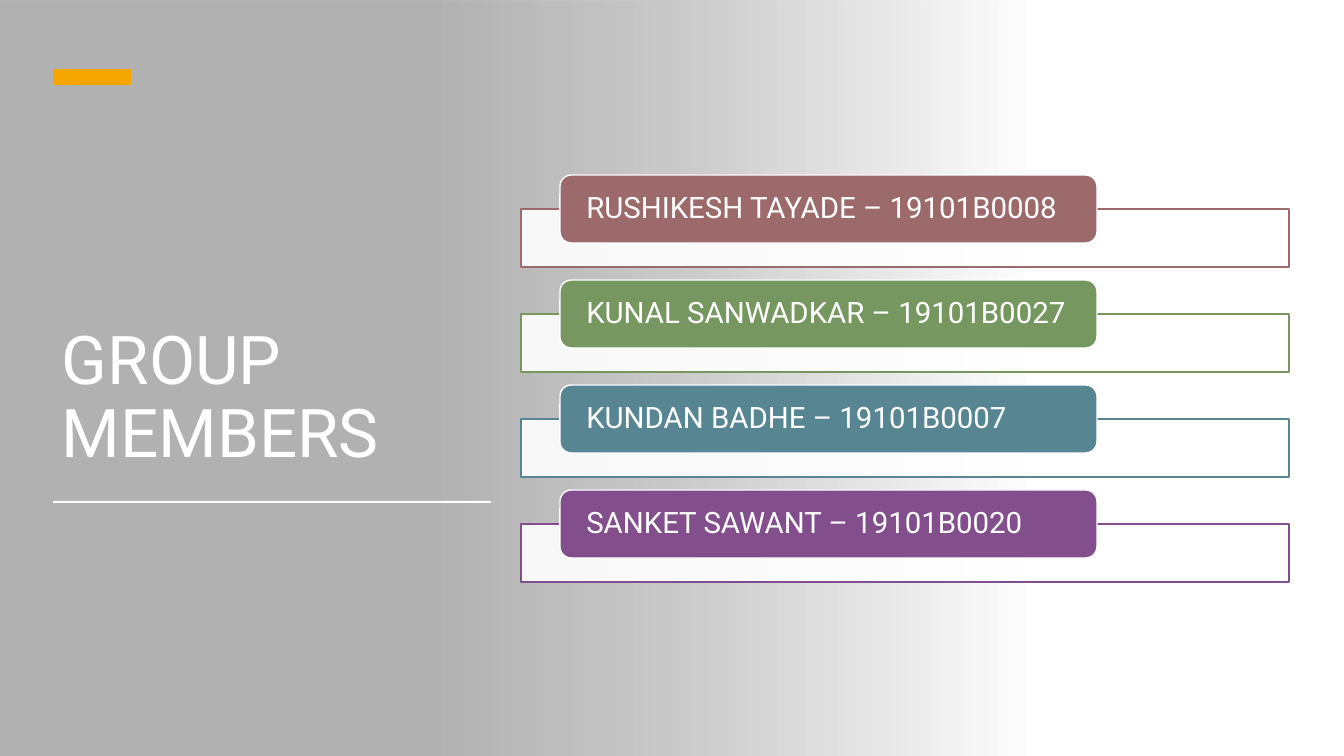
from lxml import etree
from pptx import Presentation
from pptx.dml.color import RGBColor
from pptx.enum.shapes import MSO_SHAPE
from pptx.enum.text import MSO_ANCHOR, PP_ALIGN
from pptx.oxml import parse_xml
from pptx.oxml.ns import qn
from pptx.util import Pt

PX = 914400 / 100.8
RECTANGLE = MSO_SHAPE.RECTANGLE
ROUNDED = MSO_SHAPE.ROUNDED_RECTANGLE
WHITE = RGBColor(0xFF, 0xFF, 0xFF)
ORANGE = RGBColor(0xF5, 0xA7, 0x00)
RED = RGBColor(0x9C, 0x6A, 0x6A)
GREEN = RGBColor(0x76, 0x98, 0x60)
TEAL = RGBColor(0x57, 0x85, 0x92)
PURPLE = RGBColor(0x82, 0x4F, 0x8C)

MEMBERS = [
    ("RUSHIKESH TAYADE – 19101B0008", RED),
    ("KUNAL SANWADKAR – 19101B0027", GREEN),
    ("KUNDAN BADHE – 19101B0007", TEAL),
    ("SANKET SAWANT – 19101B0020", PURPLE),
]
FIRST_TOP, ROW_PITCH = 175, 105
# Position and opacity of each black stop, in percent
SHADE_STOPS = [(0, 0), (33, 20), (58, 30), (100, 30)]


def add_block(kind, left, top, width, height, fill, line=None):
    box = [round(value * PX) for value in (left, top, width, height)]
    shape = slide.shapes.add_shape(kind, *box)
    shape.shadow.inherit = False
    shape.fill.solid()
    shape.fill.fore_color.rgb = fill
    if line is None:
        shape.line.fill.background()
    else:
        shape.line.color.rgb = line
        shape.line.width = Pt(1)
    return shape


def write_text(shape, text, size, anchor):
    frame = shape.text_frame
    frame.word_wrap = True
    frame.vertical_anchor = anchor
    frame.text = text
    paragraph = frame.paragraphs[0]
    paragraph.alignment = PP_ALIGN.LEFT
    paragraph.line_spacing = 0.9
    font = paragraph.runs[0].font
    font.name = "Roboto"
    font.size = Pt(size)
    font.color.rgb = WHITE


presentation = Presentation()
presentation.slide_width = round(1344 * PX)
presentation.slide_height = round(756 * PX)
slide = presentation.slides.add_slide(presentation.slide_layouts[6])

# Grey shade fading out to the right
shade = add_block(RECTANGLE, 0, 0, 1029, 756, WHITE)
stops = "".join(
    f'<a:gs pos="{position * 1000}"><a:srgbClr val="000000">'
    f'<a:alpha val="{opacity * 1000}"/></a:srgbClr></a:gs>'
    for position, opacity in SHADE_STOPS
)
gradient = parse_xml(
    '<a:gradFill xmlns:a="http://schemas.openxmlformats.org/drawingml/2006/main">'
    f'<a:gsLst>{stops}</a:gsLst><a:lin ang="10800000" scaled="0"/></a:gradFill>'
)
shade_properties = shade.element.spPr
shade_properties.replace(shade_properties.find(qn("a:solidFill")), gradient)

# Title with its accent bar and rule
title = slide.shapes.add_textbox(*[round(value * PX) for value in (52, 124, 444, 353)])
write_text(title, "GROUP MEMBERS", 48, MSO_ANCHOR.BOTTOM)
add_block(RECTANGLE, 53, 69, 78, 16, ORANGE)
add_block(RECTANGLE, 53, 501, 438, 2, WHITE)

# One frame and one name label per member
for row, (member, color) in enumerate(MEMBERS):
    top = FIRST_TOP + row * ROW_PITCH
    frame_box = add_block(RECTANGLE, 521, top + 34, 768, 58, WHITE, color)
    frame_color = frame_box.element.spPr.find(qn("a:solidFill"))[0]
    etree.SubElement(frame_color, qn("a:alpha"), val="90000")

    label = add_block(ROUNDED, 560, top, 537, 68, color, WHITE)
    label.text_frame.margin_left = label.text_frame.margin_right = round(23 * PX)
    label.text_frame.margin_top = label.text_frame.margin_bottom = 0
    write_text(label, member, 21, MSO_ANCHOR.MIDDLE)

presentation.save("out.pptx")
